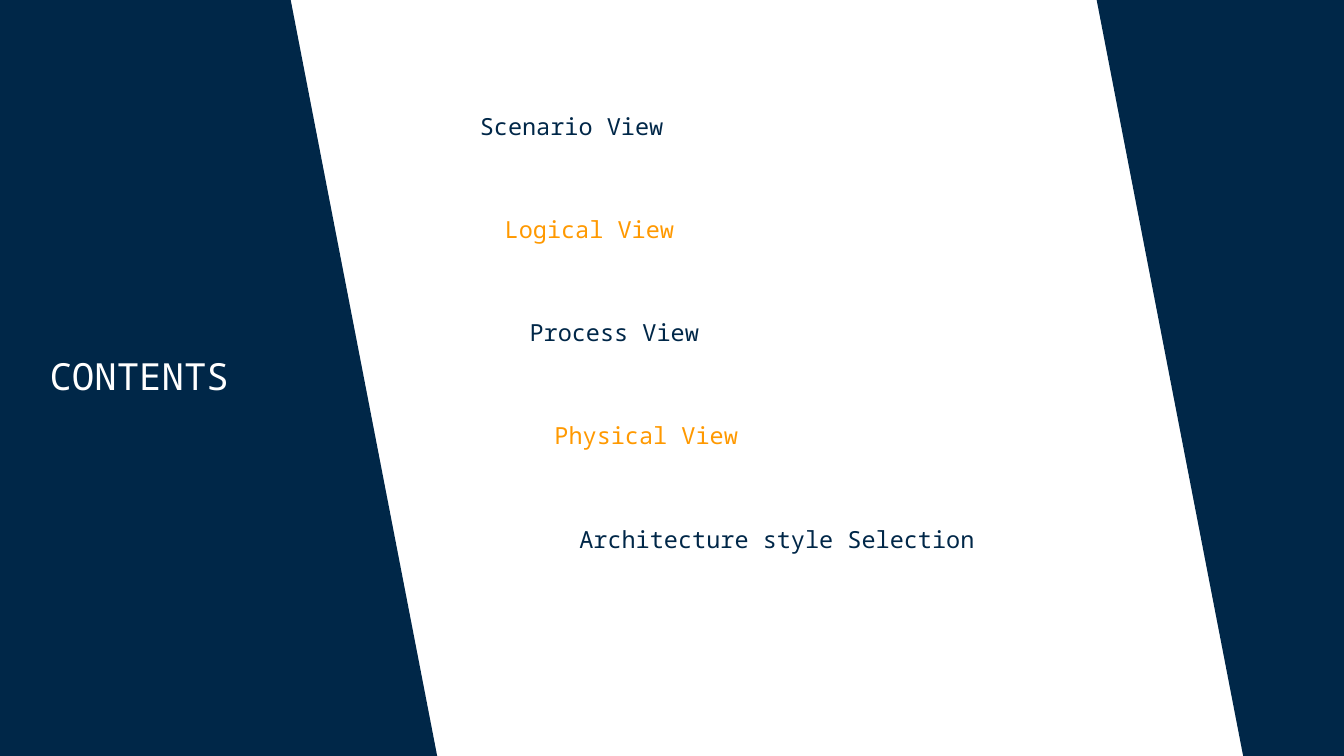
import pptx
import pptx.util
import pptx.dml.color
import pptx.enum.text

TITLE = "CONTENTS"
VIEWS = [
    "Scenario View",
    "Logical View",
    "Process View",
    "Physical View",
    "Architecture style Selection",
]

THEME = {
    "font": "Noto Sans Mono",
    "navy": "002748",
    "amber": "FF9900",
    "white": "FFFFFF",
    "title": 20,
    "item": 12.6,
}

WIDE = 10
HIGH = WIDE * 9 / 16
PANEL = (3.3, 5.73)              # panel width and height
SLANT = 1.11                     # how far the slanted edge leans
PANELS = [(-0.04, -0.07, 0), (8.15, -0.05, 180)]   # left, top, turn
FIRST, LAST = (3.5, 0.73), (4.24, 3.8)   # items step evenly along the slant
ITEM = (4.02, 0.35)

Inch = pptx.util.Inches


def tint(name):
    return pptx.dml.color.RGBColor.from_string(THEME[name])


def panel(slide, left, top, turn):
    """Draw a bleeding side panel with one slanted edge."""
    wide, high = PANEL
    pen = slide.shapes.build_freeform(Inch(left), Inch(top))
    ends = [(0, high), (wide, high), (wide - SLANT, 0)]
    pen.add_line_segments([(Inch(left + x), Inch(top + y)) for x, y in ends])
    shape = pen.convert_to_shape()
    shape.rotation = turn
    shape.shadow.inherit = False
    shape.fill.solid()
    shape.fill.fore_color.rgb = tint("navy")
    shape.line.fill.background()


def label(slide, text, box, size, color, inset, space=None, align=None):
    frame = slide.shapes.add_textbox(*map(Inch, box)).text_frame
    frame.word_wrap = True
    frame.auto_size = pptx.enum.text.MSO_AUTO_SIZE.SHAPE_TO_FIT_TEXT
    frame.margin_left = frame.margin_right = Inch(inset[0])
    frame.margin_top = frame.margin_bottom = Inch(inset[1])
    para = frame.paragraphs[0]
    para.line_spacing = space
    para.alignment = align
    run = para.add_run()
    run.text = text
    run.font.name = THEME["font"]
    run.font.size = pptx.util.Pt(THEME[size])
    run.font.color.rgb = tint(color)


def main():
    deck = pptx.Presentation()
    deck.slide_width, deck.slide_height = Inch(WIDE), Inch(HIGH)
    slide = deck.slides.add_slide(deck.slide_layouts[6])

    left, right = PANELS
    panel(slide, *left)

    for row, view in enumerate(VIEWS):
        share = row / (len(VIEWS) - 1)
        spot = [a + share * (b - a) for a, b in zip(FIRST, LAST)]
        color = "amber" if row % 2 else "navy"
        label(slide, view, (*spot, *ITEM), "item", color, (0.07, 0.04), space=1.3)

    panel(slide, *right)
    label(slide, TITLE, (0.27, 2.58, 2.21, 0.46), "title", "white", (0.1, 0.05),
          align=pptx.enum.text.PP_ALIGN.JUSTIFY)

    deck.save("out.pptx")


if __name__ == "__main__":
    main()
